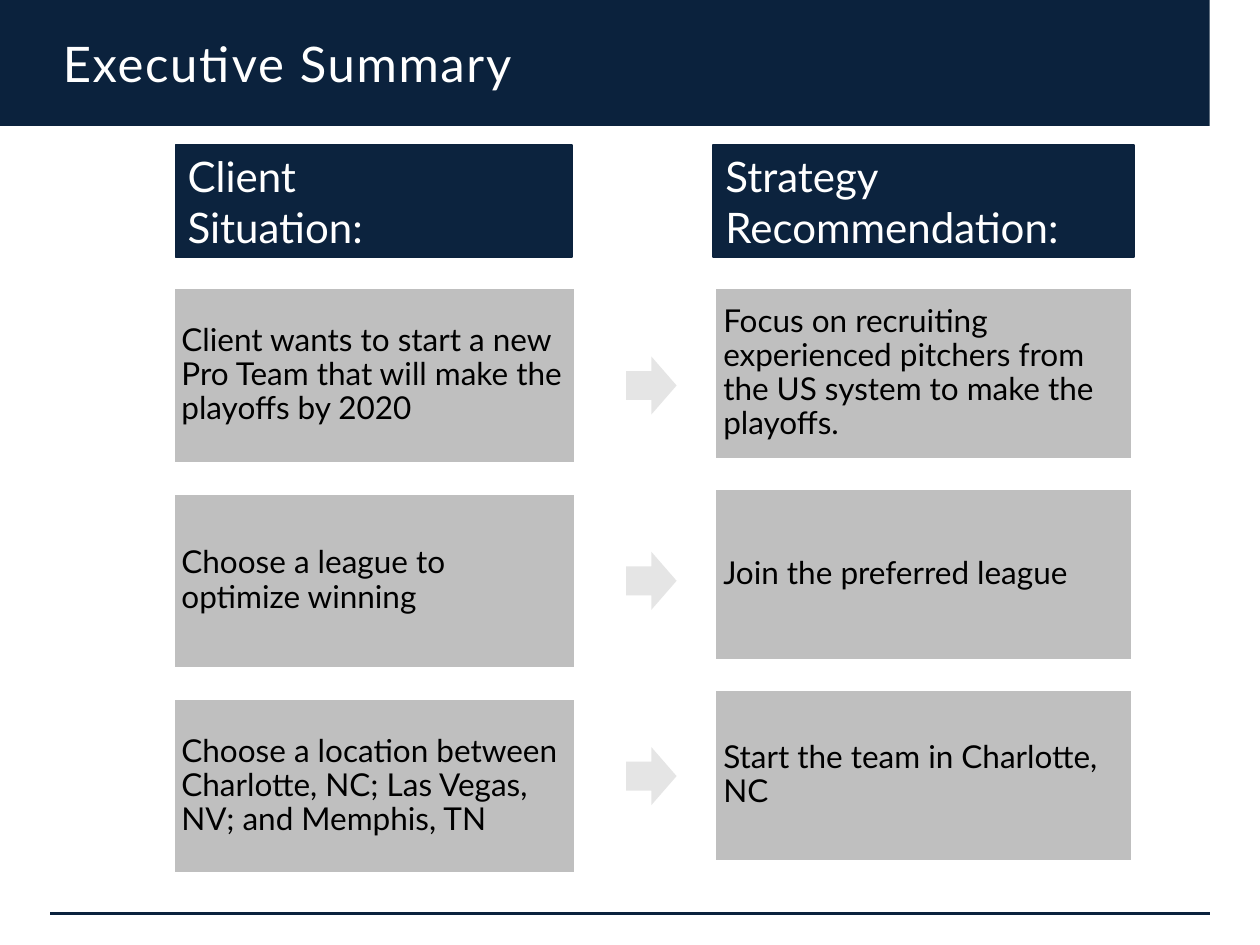
"""Build the Executive Summary slide: client situations matched to recommendations."""
from pptx import Presentation
from pptx.dml.color import RGBColor
from pptx.enum import shapes, text
from pptx.util import Inches, Pt
from lxml import etree

NAVY = RGBColor(0x0B, 0x22, 0x3D)
HEADING = RGBColor(0x0C, 0x23, 0x3E)
GREY = RGBColor(0xBF, 0xBF, 0xBF)
ARROW = RGBColor(0xE5, 0xE5, 0xE5)
WHITE = RGBColor(0xFF, 0xFF, 0xFF)
BLACK = RGBColor(0, 0, 0)
FONT = "Lato"
A = "http://schemas.openxmlformats.org/drawingml/2006/main"


def add_block(kind, x, y, w, h, fill, line=None, width=0):
    sp = slide.shapes.add_shape(kind, Inches(x), Inches(y), Inches(w), Inches(h))
    sp.shadow.inherit = False
    sp.fill.solid()
    sp.fill.fore_color.rgb = fill
    if line is None:
        sp.line.fill.background()
    else:
        sp.line.color.rgb = line
        sp.line.width = Pt(width)
    return sp


def write(sp, lines, size, color):
    tf = sp.text_frame
    tf.word_wrap = True
    tf.vertical_anchor = text.MSO_ANCHOR.MIDDLE
    tf.text = "\n".join(lines)
    for p in tf.paragraphs:
        p.alignment = text.PP_ALIGN.LEFT
        p.font.name = FONT
        p.font.size = Pt(size)
        p.font.color.rgb = color
    return tf


prs = Presentation()
prs.slide_width, prs.slide_height = Inches(10), Inches(7.5)
slide = prs.slides.add_slide(prs.slide_layouts[6])
RECT = shapes.MSO_SHAPE.RECTANGLE

add_block(RECT, 0, 0, 9.6, 1, NAVY)
rule = slide.shapes.add_connector(
    shapes.MSO_CONNECTOR.STRAIGHT, Inches(0.4), Inches(7.25), Inches(9.6), Inches(7.25))
rule.line.color.rgb = NAVY
rule.line.width = Pt(2.25)
etree.SubElement(rule._element.spPr, f"{{{A}}}effectLst")

title = slide.shapes.add_textbox(Inches(0.4), Inches(0.15), Inches(8), Inches(0.7))
tf = write(title, ["Executive Summary"], 28, WHITE)
tf.paragraphs[0].runs[0]._r.get_or_add_rPr().set("spc", "100")

headings = [
    (1.39, 3.15, ["Client", "Situation:"]),
    (5.66, 3.34, ["Strategy Recommendation:"]),
]
for x, w, lines in headings:
    write(add_block(RECT, x, 1.15, w, 0.89, HEADING, NAVY, 0.75), lines, 24, WHITE)

columns = [
    (1.37, 3.2, 1.4, 1.63, [
        "Client wants to start a new Pro Team that will make the playoffs by 2020",
        "Choose a league to optimize winning",
        "Choose a location between Charlotte, NC; Las Vegas, NV; and Memphis, TN",
    ]),
    (5.67, 3.32, 1.37, 1.595, [
        "Focus on recruiting experienced pitchers from the US system to make the playoffs.",
        "Join the preferred league",
        "Start the team in Charlotte, NC",
    ]),
]
for x, w, h, pitch, items in columns:
    for i, item in enumerate(items):
        sp = add_block(RECT, x, 2.28 + i * pitch, w, h, GREY, WHITE, 2.25)
        tf = write(sp, [item], 18, BLACK)
        tf.margin_left = tf.margin_right = tf.margin_top = tf.margin_bottom = Inches(0.07)
        tf.paragraphs[0].line_spacing = 0.9

for i in range(3):
    add_block(shapes.MSO_SHAPE.RIGHT_ARROW, 4.97, 2.83 + i * 1.55, 0.4, 0.46, ARROW)

prs.save("out.pptx")
